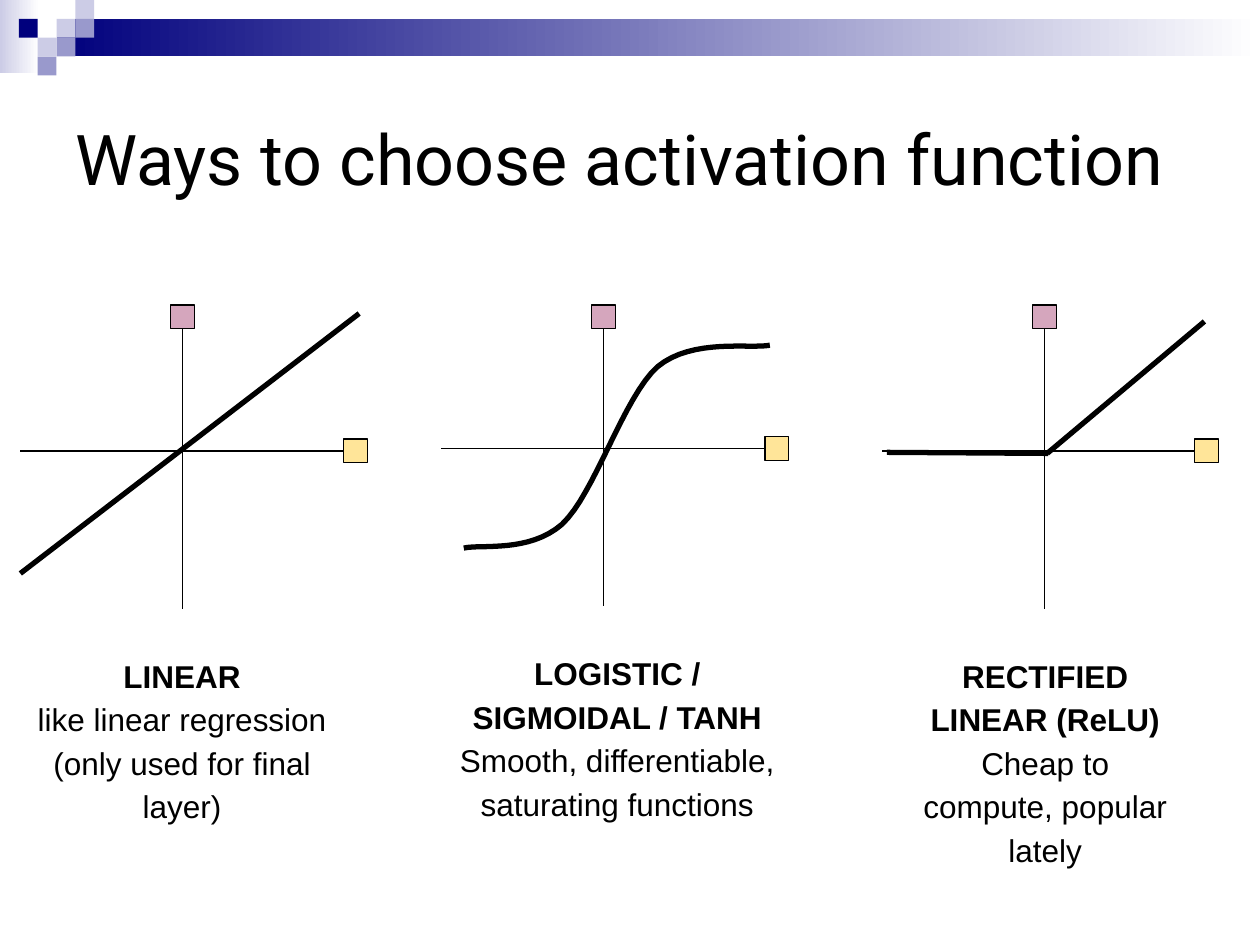
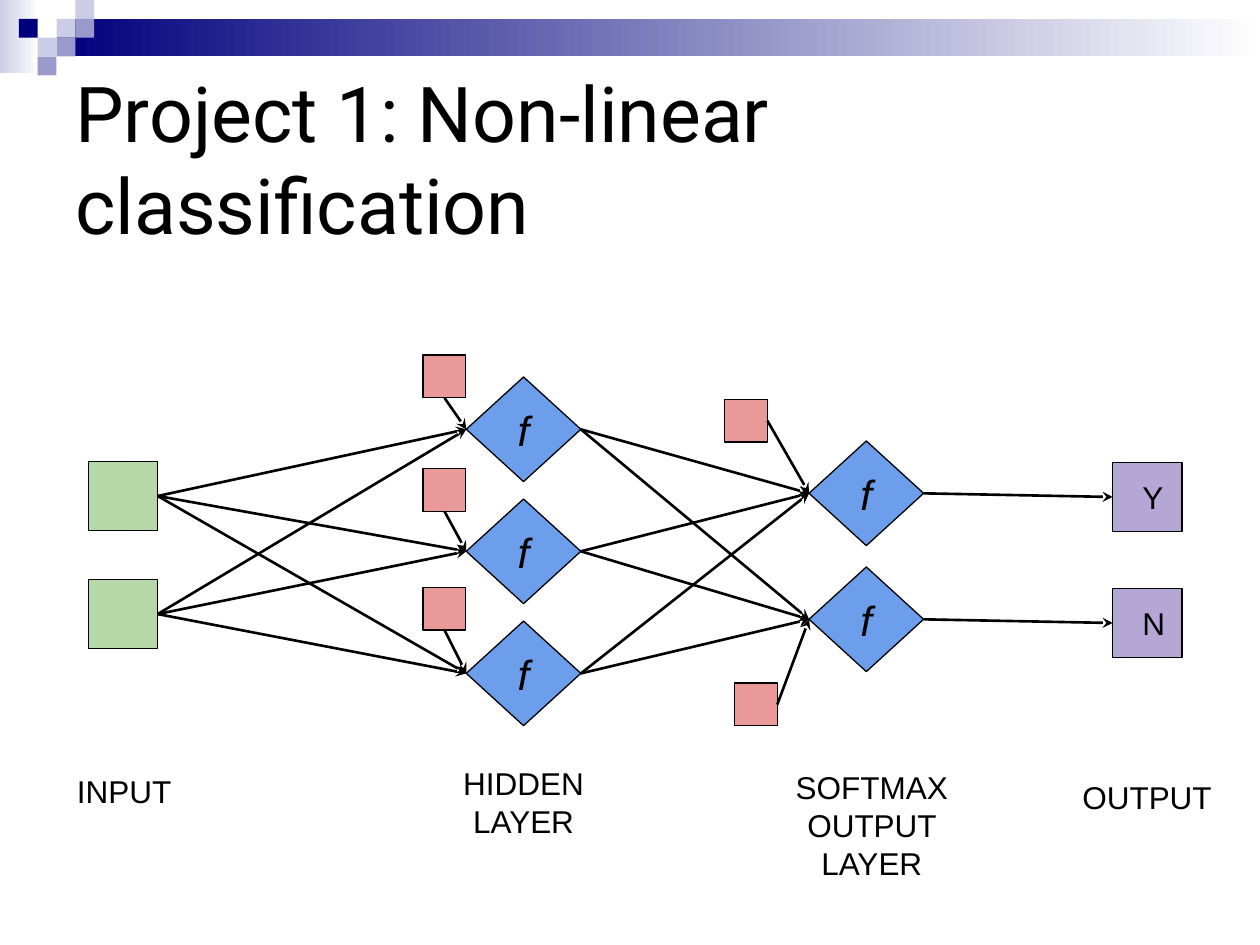
from itertools import product
from lxml.etree import SubElement
from pptx import Presentation
from pptx.dml.color import RGBColor
from pptx.enum.shapes import MSO_CONNECTOR, MSO_SHAPE as SHAPE
from pptx.enum.text import MSO_ANCHOR as ANCHOR, PP_ALIGN as ALIGN
from pptx.oxml.ns import qn
from pptx.util import Cm, Pt

rgb = RGBColor.from_string
BLACK, WHITE = "000000", "FFFFFF"
NAVY, LILAC, PALE = "00007D", "9999CC", "CCCCE6"
PINK, YELLOW = "D5A6BD", "FFE599"
GREEN, BLUE, PURPLE, RED = "B6D7A8", "6D9EEB", "B4A7D6", "EA9999"
TOP, LEFT, BOTTOM, RIGHT = range(4)
INSET = 0.25


def box(s, x, y, w, h, fill, kind=SHAPE.RECTANGLE, outline=True):
    sp = s.shapes.add_shape(kind, Cm(x), Cm(y), Cm(w), Cm(h))
    sp.shadow.inherit = False
    sp.fill.solid()
    sp.fill.fore_color.rgb = rgb(fill)
    if outline:
        sp.line.color.rgb = rgb(BLACK)
        sp.line.width = Pt(0.75)
    else:
        sp.line.fill.background()
    return sp


def connect(s, start, end, width, arrow=False):
    ends = [p if isinstance(p[0], (int, float)) else (0, 0) for p in (start, end)]
    (x1, y1), (x2, y2) = ends
    cn = s.shapes.add_connector(MSO_CONNECTOR.STRAIGHT, Cm(x1), Cm(y1), Cm(x2), Cm(y2))
    if start is not ends[0]:
        cn.begin_connect(*start)
    if end is not ends[1]:
        cn.end_connect(*end)
    cn.line.color.rgb = rgb(BLACK)
    cn.line.width = Pt(width)
    spPr = cn._element.spPr
    if arrow:
        SubElement(spPr.find(qn("a:ln")), qn("a:tailEnd"), type="stealth")
    SubElement(spPr, qn("a:effectLst"))
    return cn


prs = Presentation()
prs.slide_width, prs.slide_height = Cm(25.4), Cm(19.05)

slides = []
for title, size in [("Ways to choose activation function", 40),
                    ("Project 1: Non-linear classification", 44)]:
    s = prs.slides.add_slide(prs.slide_layouts[6])
    slides.append(s)
    for x, y, w, h, color in [(0, 0, 0.79, 1.47, PALE), (1.14, 0.38, 24.26, 0.76, NAVY)]:
        fill = box(s, x, y, w, h, color, outline=False).fill
        fill.gradient()
        fill.gradient_angle = 0
        for stop, position, shade in zip(fill.gradient_stops, (0, 1), (color, WHITE)):
            stop.position = position
            stop.color.rgb = rgb(shade)
    tile = 0.38
    for col, row, color in [(3, 1, PALE), (4, 0, PALE), (4, 1, LILAC), (2, 2, PALE),
                            (1, 1, NAVY), (3, 2, LILAC), (2, 3, LILAC)]:
        box(s, col * tile, row * tile, tile, tile, color, outline=False)
    tf = s.shapes.add_textbox(Cm(1.27), Cm(1.27), Cm(22.86), Cm(3.81)).text_frame
    tf.word_wrap = True
    tf.vertical_anchor = ANCHOR.MIDDLE
    p = tf.paragraphs[0]
    p.text = title
    p.font.name, p.font.size = "Roboto", Pt(size)
    p.font.color.rgb = rgb(BLACK)

functions, network = slides

marker = 0.48
for cx, cy, reach in [(3.68, 9.09, 3.25), (12.17, 9.04, 3.25), (21.06, 9.09, 3.02)]:
    pink = box(functions, cx - marker / 2, 6.15, marker, marker, PINK)
    yellow = box(functions, cx + reach, cy - marker / 2, marker, marker, YELLOW)
    connect(functions, (pink, BOTTOM), (cx, cy + 3.18), 0.75)
    connect(functions, (cx - 3.27, cy), (yellow, LEFT), 0.75)

for start, end in [((0.41, 11.56), (7.24, 6.32)),
                   ((21.11, 9.14), (24.28, 6.48)),
                   ((21.13, 9.14), (17.88, 9.12))]:
    connect(functions, start, end, 3)

sigmoid = [(9.35, 11.05), (9.68, 10.97), (10.67, 11.15), (11.33, 10.57),
           (11.99, 9.96), (12.57, 8), (13.26, 7.39),
           (13.97, 6.81), (15.14, 7.04), (15.52, 6.96)]
steps = 16
points = []
for i in range(0, len(sigmoid) - 1, 3):
    for t in (n / steps for n in range(1, steps + 1)):
        weights = ((1 - t) ** 3, 3 * t * (1 - t) ** 2, 3 * t ** 2 * (1 - t), t ** 3)
        points.append(tuple(Cm(sum(w * q[axis] for w, q in zip(weights, sigmoid[i:i + 4])))
                            for axis in (0, 1)))
fb = functions.shapes.build_freeform(Cm(sigmoid[0][0]), Cm(sigmoid[0][1]))
fb.add_line_segments(points, close=False)
curve = fb.convert_to_shape()
curve.shadow.inherit = False
curve.fill.background()
curve.line.color.rgb = rgb(BLACK)
curve.line.width = Pt(3)

inputs = [box(network, 1.78, 9.3 + 2.38 * i, 1.4, 1.4, GREEN) for i in range(2)]
hidden = [box(network, 9.4, 7.6 + 2.46 * i, 2.31, 2.11, BLUE, SHAPE.DIAMOND) for i in range(3)]
softmax = [box(network, 16.31, 8.89 + 2.54 * i, 2.31, 2.11, BLUE, SHAPE.DIAMOND) for i in range(2)]
outputs = [box(network, 22.43, 9.32 + 2.54 * i, 1.4, 1.4, PURPLE) for i in range(2)]

node_texts = [(sp, "f", 24, True, ALIGN.CENTER, INSET) for sp in hidden + softmax]
node_texts += [(sp, t, 18, False, ALIGN.LEFT, 0.6) for sp, t in zip(outputs, "YN")]
for sp, text, size, italic, align, left in node_texts:
    tf = sp.text_frame
    tf.margin_left = Cm(left)
    tf.margin_top = tf.margin_right = tf.margin_bottom = Cm(INSET)
    tf.vertical_anchor = ANCHOR.MIDDLE
    p = tf.paragraphs[0]
    p.text = text
    p.alignment = align
    p.font.name, p.font.size, p.font.italic = "Arial", Pt(size), italic
    p.font.color.rgb = rgb(BLACK)

links = [*product(inputs, hidden), *product(hidden, softmax), *zip(softmax, outputs)]
for source, target in links:
    connect(network, (source, RIGHT), (target, LEFT), 1.5, arrow=True)

biases = [(8.53, 7.16, BOTTOM), (8.53, 9.45, BOTTOM), (8.53, 11.84, BOTTOM),
          (14.61, 8.05, RIGHT), (14.81, 13.77, RIGHT)]
for (x, y, side), target in zip(biases, hidden + softmax):
    bias = box(network, x, y, 0.86, 0.86, RED)
    connect(network, (bias, side), (target, LEFT), 1.5, arrow=True)

captions = [
    (functions, 0.38, 12.88, 6.58, 3.18,
     ["LINEAR", "like linear regression", "(only used for final layer)"]),
    (functions, 18.21, 12.88, 5.72, 3.18,
     ["RECTIFIED LINEAR (ReLU)", "Cheap to compute, popular lately"]),
    (functions, 8.89, 12.83, 7.11, 3.56,
     ["LOGISTIC / SIGMOIDAL / TANH", "Smooth, differentiable, saturating functions"]),
    (network, 0.79, 15.32, 3.43, 1.4, ["INPUT"]),
    (network, 8.84, 15.16, 3.43, 1.96, ["HIDDEN LAYER"]),
    (network, 15.67, 15.24, 3.81, 1.98, ["SOFTMAX OUTPUT LAYER"]),
    (network, 21.41, 15.44, 3.43, 1.4, ["OUTPUT"]),
]
for s, x, y, w, h, lines in captions:
    tf = s.shapes.add_textbox(Cm(x), Cm(y), Cm(w), Cm(h)).text_frame
    tf.word_wrap = True
    tf.margin_left = tf.margin_top = tf.margin_right = tf.margin_bottom = Cm(INSET)
    for i, line in enumerate(lines):
        p = tf.add_paragraph() if i else tf.paragraphs[0]
        p.text = line
        p.alignment = ALIGN.CENTER
        p.line_spacing = 1.15 if s is functions else 1.0
        p.font.name, p.font.size = "Arial", Pt(18)
        p.font.bold = s is functions and i == 0
        p.font.color.rgb = rgb(BLACK)

prs.save("out.pptx")
